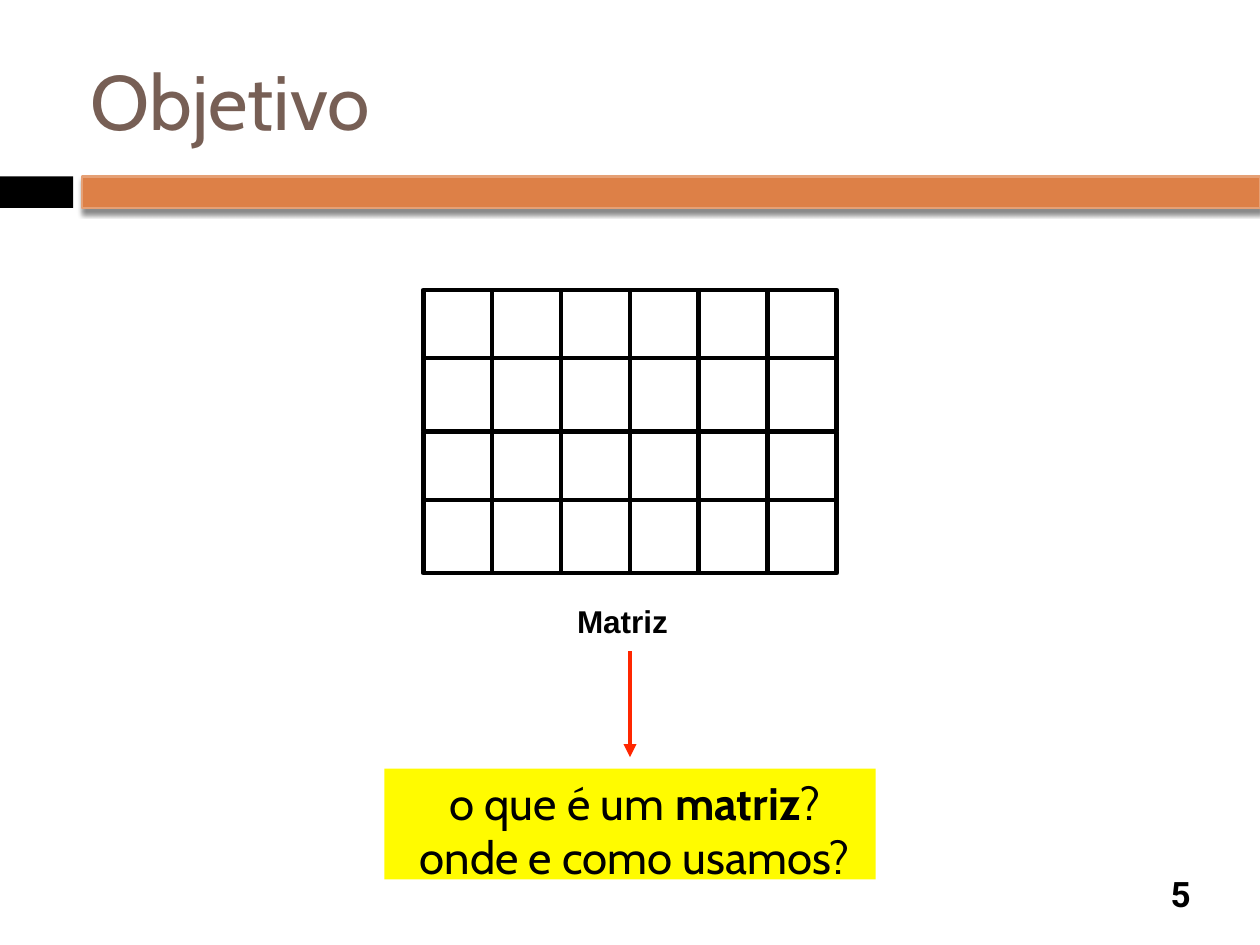
from lxml import etree
from pptx import Presentation
from pptx.dml.color import RGBColor
from pptx.enum.shapes import MSO_CONNECTOR, MSO_SHAPE
from pptx.enum.text import MSO_ANCHOR, PP_ALIGN
from pptx.oxml import parse_xml
from pptx.oxml.ns import qn
from pptx.util import Inches, Pt

RECT = MSO_SHAPE.RECTANGLE
LINE = MSO_CONNECTOR.STRAIGHT
TOP, MIDDLE = MSO_ANCHOR.TOP, MSO_ANCHOR.MIDDLE
LEFT, CENTER = PP_ALIGN.LEFT, PP_ALIGN.CENTER
BLACK, WHITE = "000000", "FFFFFF"
SHADOW = (
    '<a:outerShdw xmlns:a="http://schemas.openxmlformats.org/drawingml/2006/main"'
    ' blurRad="38100" dist="30480" dir="5400000" rotWithShape="0">'
    '<a:srgbClr val="000000"><a:alpha val="45000"/></a:srgbClr></a:outerShdw>'
)


def color(code):
    return RGBColor.from_string(code)


def write(shape, lines, size=18, font="Cabin", ink=BLACK, bold=False,
          align=LEFT, anchor=TOP, wrap=True):
    frame = shape.text_frame
    frame.word_wrap = wrap
    frame.vertical_anchor = anchor
    frame.margin_left = frame.margin_right = Inches(0.05)
    frame.margin_top = frame.margin_bottom = Inches(0.05)
    for i, parts in enumerate(lines):
        para = frame.paragraphs[0] if i == 0 else frame.add_paragraph()
        para.alignment = align
        for text, strong in parts:
            run = para.add_run()
            run.text = text
            run.font.size = Pt(size)
            run.font.name = font
            run.font.bold = bold or strong
            run.font.color.rgb = color(ink)


def label(slide, box, text, **style):
    shape = slide.shapes.add_textbox(*map(Inches, box))
    write(shape, [[(text, False)]], **style)


def block(slide, box, fill, edge=None, width=1):
    shape = slide.shapes.add_shape(RECT, *map(Inches, box))
    shape.shadow.inherit = False
    shape.fill.solid()
    shape.fill.fore_color.rgb = color(fill)
    if edge:
        shape.line.color.rgb = color(edge)
        shape.line.width = Pt(width)
    else:
        shape.line.fill.background()
    return shape


def banner(slide, left, top, width, height):
    block(slide, (left, top, 0.58, height), BLACK)
    bar = block(slide, (left + 0.65, top, width - 0.65, height),
                "DD8047", "E5A075", 1.5)
    bar._element.spPr.find(qn("a:effectLst")).append(parse_xml(SHADOW))


def matrix(slide, left, top, width, height):
    cols, wide, tall = 6, 0.55, 0.58
    step = (width - wide) / (cols - 1)
    for drop in (0, 0.54, 1.13, height - tall):
        for col in range(cols):
            block(slide, (left + col * step, top + drop, wide, tall),
                  WHITE, BLACK, 2.5)


def arrow(slide, left, top, width, height):
    ends = (left, top, left + width, top + height)
    link = slide.shapes.add_connector(LINE, *map(Inches, ends))
    link.line.color.rgb = color("FF2600")
    link.line.width = Pt(2.5)
    etree.SubElement(link.line._get_or_add_ln(), qn("a:tailEnd"), type="triangle")
    etree.SubElement(link._element.spPr, qn("a:effectLst"))


def question(slide, left, top, width, height):
    note = block(slide, (left, top, width, height), "FFFB00")
    lines = [
        [(" o que é um ", False), ("matriz", True), ("?", False)],
        [(" onde e como usamos?", False)],
    ]
    write(note, lines, size=26, align=CENTER)


def main():
    deck = Presentation()
    deck.slide_width, deck.slide_height = Inches(10), Inches(7.5)
    slide = deck.slides.add_slide(deck.slide_layouts[6])
    banner(slide, 0, 1.4, 10, 0.25)
    label(slide, (0.67, 0.25, 8.92, 1.08), "Objetivo",
          size=44, ink="775F55", anchor=MIDDLE)
    label(slide, (9.08, 6.89, 0.58, 0.41), "5", size=20, font="Roboto",
          bold=True, align=CENTER, anchor=MIDDLE)
    question(slide, 3.05, 6.1, 3.9, 0.88)
    arrow(slide, 5, 5.17, 0, 0.84)
    matrix(slide, 3.36, 2.3, 3.28, 2.25)
    label(slide, (4.53, 4.73, 0.84, 0.41), "Matriz",
          font="Arial", bold=True, wrap=False)
    deck.save("out.pptx")


if __name__ == "__main__":
    main()
